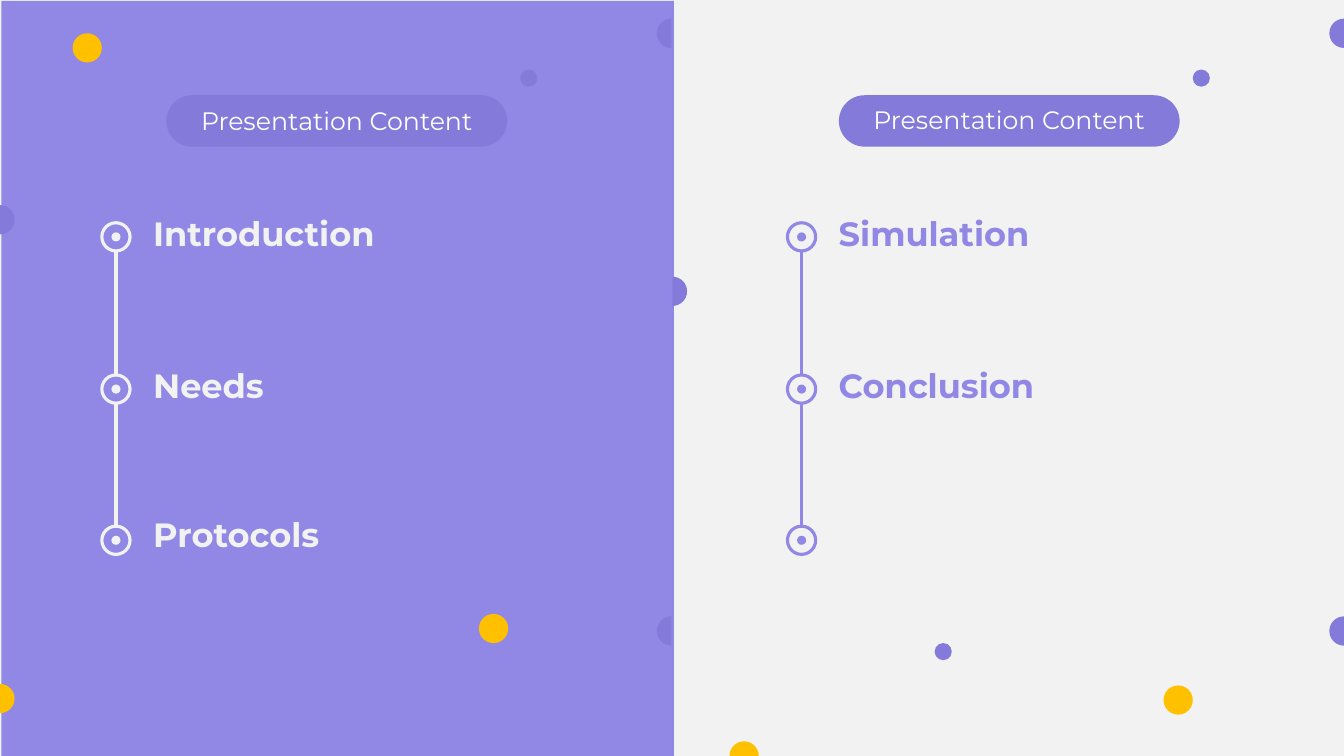
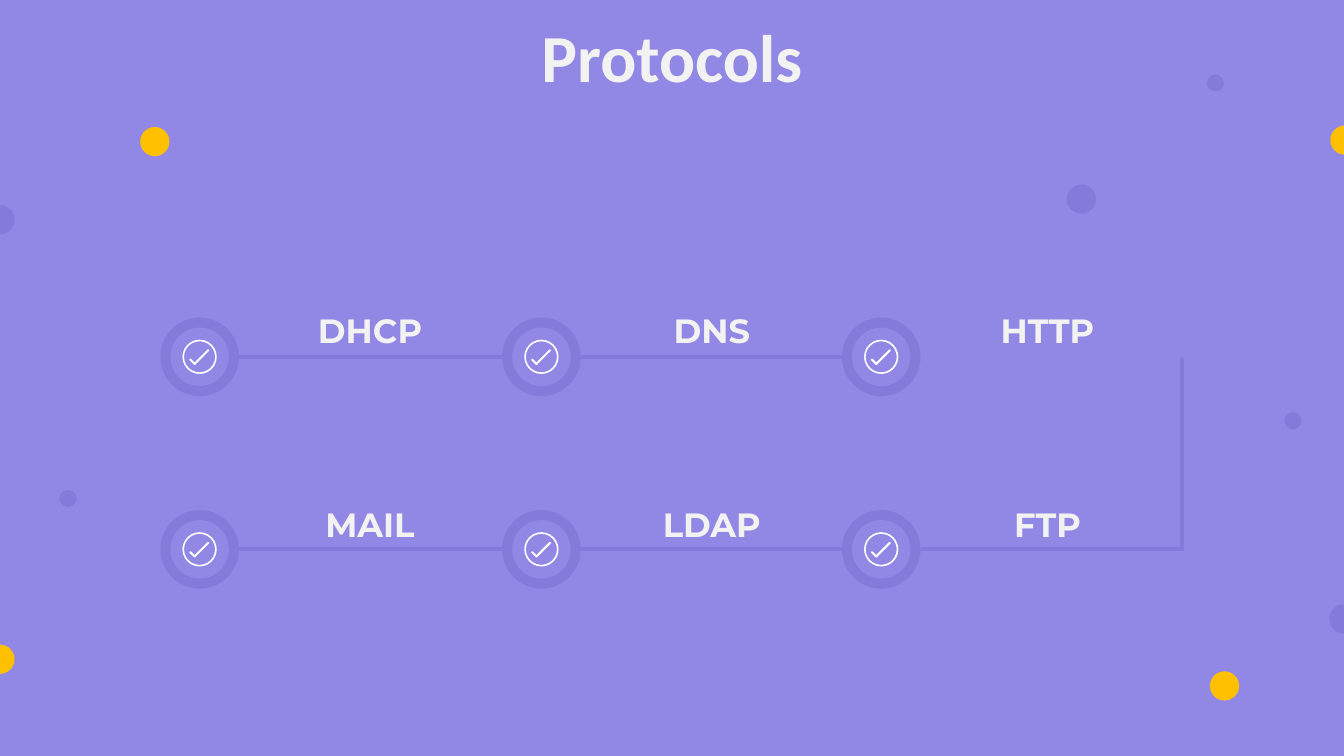
from lxml import etree
from pptx import Presentation
from pptx.dml.color import RGBColor
from pptx.enum import shapes, text
from pptx.oxml.ns import qn
from pptx.util import Inches, Pt

VIOLET, DEEP, PALE, WHITE, AMBER = "9188E5", "837AD9", "F2F2F2", "FFFFFF", "FFC000"
KIND = shapes.MSO_SHAPE
LEFT, CENTER = text.PP_ALIGN.LEFT, text.PP_ALIGN.CENTER
BIG, SMALL = 0.29, 0.17
color = RGBColor.from_string


def draw(slide, kind, center_x, center_y, width, height, fill=None, outline=None):
    shape = slide.shapes.add_shape(
        kind, Inches(center_x - width / 2), Inches(center_y - height / 2), Inches(width), Inches(height))
    shape.shadow.inherit = False
    if fill:
        shape.fill.solid()
        shape.fill.fore_color.rgb = color(fill)
    else:
        shape.fill.background()
    if outline:
        shape.line.color.rgb = color(outline)
        shape.line.width = Pt(2.25)
    else:
        shape.line.fill.background()
    return shape


def write(shape, words, size, ink, bold=True, font="Montserrat", align=CENTER):
    frame = shape.text_frame
    frame.word_wrap = True
    frame.auto_size = text.MSO_AUTO_SIZE.NONE
    frame.vertical_anchor = text.MSO_ANCHOR.TOP
    paragraph = frame.paragraphs[0]
    paragraph.alignment = align
    paragraph.space_before = Pt(0)
    run = paragraph.add_run()
    run.text = words
    run.font.name = font
    run.font.size = Pt(size)
    run.font.bold = bold
    run.font.color.rgb = color(ink)


presentation = Presentation()
presentation.slide_width, presentation.slide_height = Inches(13.33), Inches(7.5)
slides = []
for background in (PALE, VIOLET):
    slide = presentation.slides.add_slide(presentation.slide_layouts[5])
    slide.background.fill.solid()
    slide.background.fill.fore_color.rgb = color(background)
    slides.append(slide)
contents, protocols = slides

draw(contents, KIND.RECTANGLE, 3.35, 3.76, 6.67, 7.5, VIOLET)

dots = [
    (contents, 0.72, 0.33, BIG, AMBER), (contents, 5.16, 0.69, SMALL, DEEP),
    (contents, 4.75, 6.09, BIG, AMBER), (contents, 9.27, 6.38, SMALL, DEEP),
    (contents, 11.83, 0.69, SMALL, DEEP), (contents, 11.54, 6.8, BIG, AMBER),
    (protocols, 0.59, 4.86, SMALL, DEEP), (protocols, 1.39, 1.26, BIG, AMBER),
    (protocols, 12.74, 4.09, SMALL, DEEP), (protocols, 11.97, 0.74, SMALL, DEEP),
    (protocols, 12, 6.66, BIG, AMBER), (protocols, 10.58, 1.83, BIG, DEEP),
]
for slide, left, top, size, fill in dots:
    draw(slide, KIND.OVAL, left + size / 2, top + size / 2, size, size, fill)

RIGHTWARD, LEFTWARD, UPWARD = (1, 0), (-1, 0), (0, -1)
half_dots = [
    (contents, 0, 6.93, RIGHTWARD, AMBER), (contents, 0, 2.18, RIGHTWARD, DEEP),
    (contents, 6.66, 0.33, LEFTWARD, DEEP), (contents, 6.66, 6.26, LEFTWARD, DEEP),
    (contents, 6.67, 2.89, RIGHTWARD, DEEP), (contents, 7.38, 7.5, UPWARD, AMBER),
    (contents, 13.33, 0.33, LEFTWARD, DEEP), (contents, 13.33, 6.26, LEFTWARD, DEEP),
    (protocols, 0, 6.54, RIGHTWARD, AMBER), (protocols, 0, 2.18, RIGHTWARD, DEEP),
    (protocols, 13.33, 6.14, LEFTWARD, DEEP), (protocols, 13.34, 1.39, LEFTWARD, AMBER),
]
half_circle = [(-1, 0), (1, 0), (1, 0.55), (0.55, 1), (0, 1), (-0.55, 1), (-1, 0.55), (-1, 0)]
for slide, x, y, (out_x, out_y), fill in half_dots:
    points = [(Inches(x + BIG / 2 * (out * out_x + along * out_y)),
               Inches(y + BIG / 2 * (out * out_y - along * out_x))) for along, out in half_circle]
    builder = slide.shapes.build_freeform(*points[0])
    builder.add_line_segments(points[1:], close=True)
    half_dot = builder.convert_to_shape()
    segments = list(half_dot._element.iter(qn("a:lnTo")))
    for first in (1, 4):
        curve = etree.Element(qn("a:cubicBezTo"))
        segments[first].addprevious(curve)
        for segment in segments[first:first + 3]:
            curve.append(segment[0])
            segment.getparent().remove(segment)
    half_dot.shadow.inherit = False
    half_dot.fill.solid()
    half_dot.fill.fore_color.rgb = color(fill)
    half_dot.line.fill.background()

timelines = [
    (1.15, 3.34, PALE, ["Introduction", "Needs", "Protocols"]),
    (7.95, 10.01, VIOLET, ["Simulation", "Conclusion"]),
]
stops = [(2.35, 2.06), (3.86, 3.57), (5.36, 5.05)]
columns = [(1.98, 2.54), (5.37, 5.93), (8.74, 9.26)]
rows = [(3.54, 3.03, ["DHCP", "DNS", "HTTP"]), (5.45, 4.95, ["MAIL", "LDAP", "FTP"])]

lines = [(protocols, 9.13, 5.45, 11.74, 5.45, DEEP, 3), (protocols, 11.72, 5.46, 11.72, 3.55, DEEP, 3)]
for x, _, ink, _ in timelines:
    for (upper, _), (lower, _) in zip(stops, stops[1:]):
        lines.append((contents, x, upper + 0.14, x, lower - 0.14, ink, 2.25))
for y, _, _ in rows:
    for (before, _), (after, _) in zip(columns, columns[1:]):
        lines.append((protocols, before + 0.38, y, after - 0.39, y, DEEP, 3))
for slide, x1, y1, x2, y2, ink, weight in lines:
    line = slide.shapes.add_connector(
        shapes.MSO_CONNECTOR.STRAIGHT, Inches(x1), Inches(y1), Inches(x2), Inches(y2))
    line.line.color.rgb = color(ink)
    line.line.width = Pt(weight)
    etree.SubElement(line._element.spPr, qn("a:effectLst"))

for x, pill_x, ink, labels in timelines:
    pill = draw(contents, KIND.ROUNDED_RECTANGLE, pill_x, 1.2, 3.38, 0.51, DEEP)
    pill.adjustments[0] = 0.5
    if x == timelines[0][0]:
        heading = contents.shapes.title
        pill._element.addnext(heading._element)
        heading.left, heading.top = Inches(pill_x - 1.63), Inches(0.99)
        heading.width, heading.height = Inches(3.26), Inches(0.4)
    else:
        heading = contents.shapes.add_textbox(Inches(pill_x - 1.63), Inches(0.99), Inches(3.26), Inches(0.4))
    write(heading, "Presentation Content", 18, WHITE, bold=False)
    for y, _ in stops:
        draw(contents, KIND.OVAL, x, y, 0.09, 0.09, ink)
        draw(contents, KIND.OVAL, x, y, 0.28, 0.28, outline=ink)
    for (_, top), label in zip(stops, labels):
        box = contents.shapes.add_textbox(Inches(x + 0.27), Inches(top), Inches(3.62), Inches(0.5))
        write(box, label, 24, ink, align=LEFT)

title = protocols.shapes.title
title.left, title.top, title.width, title.height = Inches(4.02), Inches(0.1), Inches(5.29), Inches(0.91)
write(title, "Protocols", 48, PALE, font="Calibri")

for y, label_top, labels in rows:
    for (x, label_left), label in zip(columns, labels):
        draw(protocols, KIND.OVAL, x, y, 0.78, 0.78, DEEP)
        draw(protocols, KIND.OVAL, x, y, 0.58, 0.58, VIOLET)
        ring = draw(protocols, KIND.DONUT, x, y, 0.34, 0.34, WHITE)
        ring.adjustments[0] = 0.047
        for shift_x, shift_y, length, angle in [(-0.07, 0.05, 0.08, 135), (0.02, 0, 0.2, 225)]:
            stroke = draw(protocols, KIND.ROUNDED_RECTANGLE, x + shift_x, y + shift_y, 0.02, length, WHITE)
            stroke.adjustments[0] = 0.5
            stroke.rotation = angle
        box = protocols.shapes.add_textbox(Inches(label_left), Inches(label_top), Inches(2.26), Inches(0.5))
        write(box, label, 24, PALE)

presentation.save("out.pptx")
